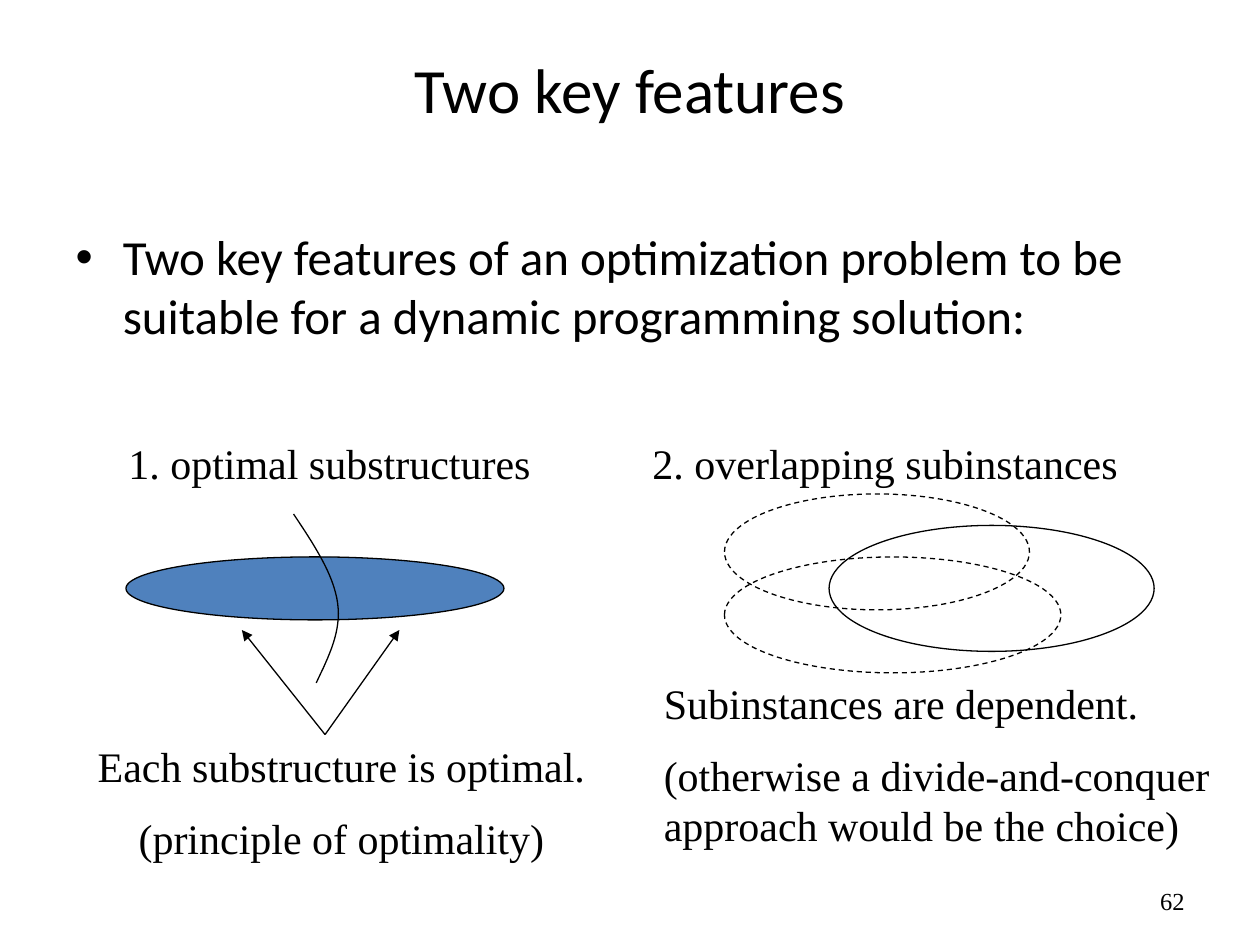
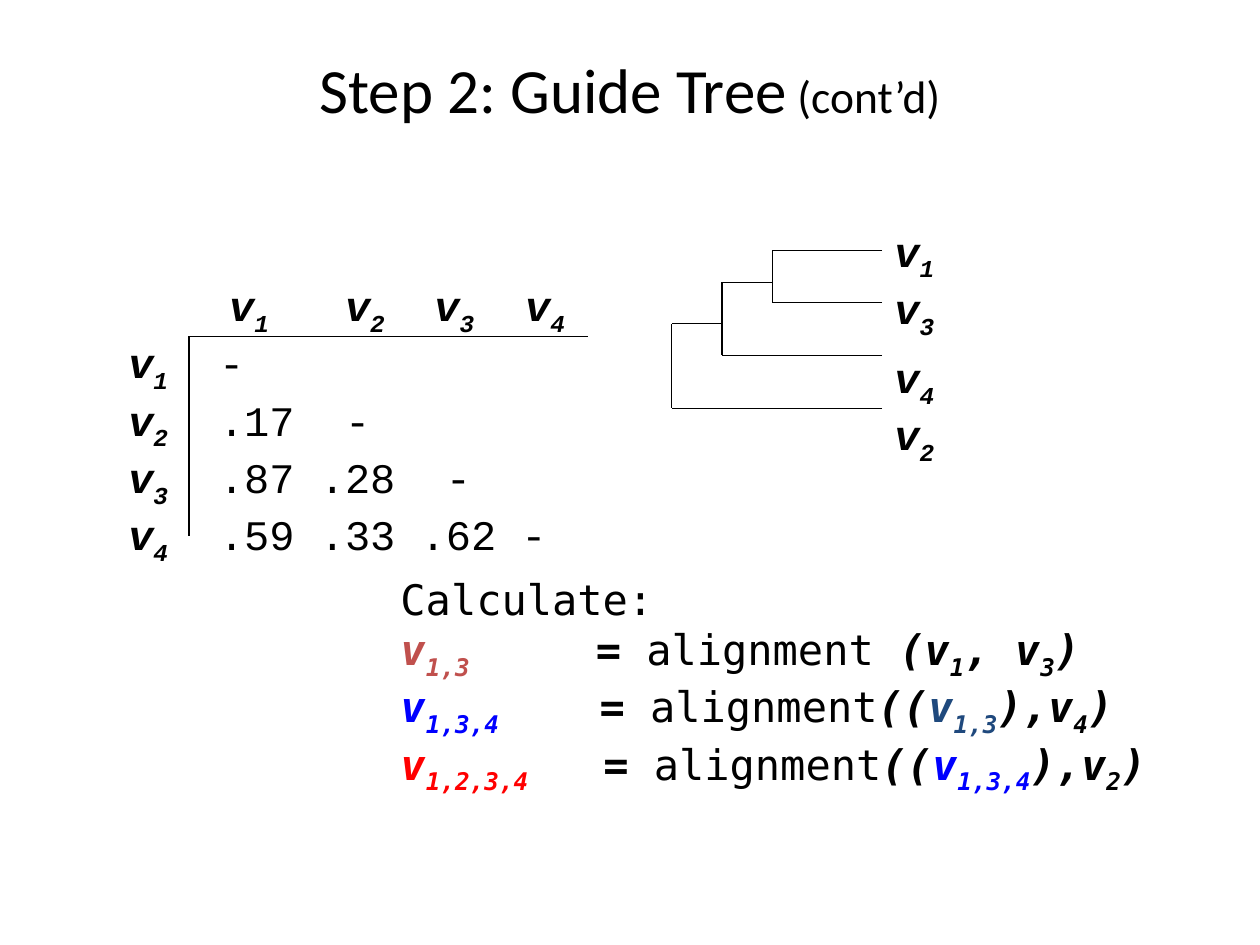
from lxml.etree import SubElement as Sub
from pptx import Presentation
from pptx.dml.color import RGBColor as RGB
from pptx.enum.dml import MSO_LINE as Dash
from pptx.enum.shapes import MSO_CONNECTOR as Link, MSO_SHAPE as Kind
from pptx.enum.text import MSO_ANCHOR as Anchor, PP_ALIGN as Align
from pptx.oxml.ns import qn
from pptx.util import Inches, Pt

HUES = {"ink": "000000", "oval": "4F81BD", "rose": "C0504D",
        "blue": "0000FF", "navy": "1F497D", "red": "FF0000"}
SANS, SERIF = "Calibri", "Times New Roman"
MONO, CODE = "Courier New", "DejaVu Sans Mono"


def hue(name):
    return RGB.from_string(HUES[name])


def place(shape, *box):
    shape.left, shape.top, shape.width, shape.height = map(Inches, box)


def style(font, face, size):
    font.name, font.size = face, Pt(size)
    font.color.rgb = hue("ink")


def title(slide, text):
    head = slide.shapes.title
    place(head, 0.5, 0.08, 9, 1.25)
    head.text_frame.vertical_anchor = Anchor.MIDDLE
    para = head.text_frame.paragraphs[0]
    para.text, para.alignment = text, Align.CENTER
    style(para.font, SANS, 36)
    return para


def frame(slide, *box):
    text = slide.shapes.add_textbox(*map(Inches, box)).text_frame
    text.word_wrap = True
    return text


def paras(text, count, face, size=24):
    """Return the given number of styled paragraphs of a text frame."""
    rows = [text.paragraphs[0]]
    rows += [text.add_paragraph() for _ in range(count - 1)]
    for row in rows:
        style(row.font, face, size)
    return rows


def note(slide, box, lines, align=Align.LEFT, size=24):
    text = frame(slide, *box)
    for i, (row, line) in enumerate(zip(paras(text, len(lines), SERIF, size), lines)):
        row.text, row.alignment = line, align
        row.space_before = Pt(12 if i else 0)
    return text


def run(para, text, bold=False, color="ink"):
    part = para.add_run()
    part.text = text
    part.font.bold = part.font.italic = bold
    part.font.color.rgb = hue(color)
    return part


def var(para, index, color="ink"):
    """Add the variable v with a subscript."""
    run(para, "v", True, color)
    low = run(para, index, True, color)
    low.font._element.set("baseline", "-25000")


def tabs(para, stops):
    props = para._p.get_or_add_pPr()
    tags = Sub(props, qn("a:tabLst"))
    for stop in stops:
        Sub(tags, qn("a:tab"), pos=str(Inches(stop)), algn="l")


def pen(line):
    line.color.rgb = hue("ink")
    line.width = Pt(0.75)


def oval(slide, box, fill=None, dash=None):
    shape = slide.shapes.add_shape(Kind.OVAL, *map(Inches, box))
    shape.shadow.inherit = False
    if fill:
        shape.fill.solid()
        shape.fill.fore_color.rgb = hue(fill)
    else:
        shape.fill.background()
    pen(shape.line)
    if dash:
        shape.line.dash_style = dash


def line(slide, x1, y1, x2, y2, arrow=False):
    link = slide.shapes.add_connector(Link.STRAIGHT, *map(Inches, (x1, y1, x2, y2)))
    pen(link.line)
    if arrow:
        Sub(link.line._get_or_add_ln(), qn("a:tailEnd"), type="triangle")
    Sub(link._element.spPr, qn("a:effectLst"))


def bezier(a, b, c, d, steps=16):
    for i in range(1, steps + 1):
        t = i / steps
        u = 1 - t
        yield tuple(Inches(u**3 * p + 3 * u * u * t * q + 3 * u * t * t * r + t**3 * s)
                    for p, q, r, s in zip(a, b, c, d))


def curve(slide, start, mid, end, bends):
    path = slide.shapes.build_freeform(*map(Inches, start))
    dots = [*bezier(start, *bends[:2], mid), *bezier(mid, *bends[2:], end)]
    path.add_line_segments(dots, close=False)
    shape = path.convert_to_shape()
    shape.shadow.inherit = False
    shape.fill.background()
    pen(shape.line)


def tree(slide):
    leaves = [1.99, 2.4, 2.82, 3.24]
    right, top = 7, leaves[0]
    for x, low, joint in zip((6.13, 5.73, 5.33), leaves[1:], (2.24, 2.57, None)):
        line(slide, right, top, x, top)
        line(slide, 7, low, x, low)
        line(slide, x, top, x, low)
        right, top = x, joint
    rows = paras(frame(slide, 7, 1.74, 0.73, 1.78), 4, MONO)
    for row, index in zip(rows, "1342"):
        var(row, index)
    rows[2].line_spacing = 1.2


def matrix(slide):
    head, *rows = paras(frame(slide, 0.92, 2.17, 3.73, 2.1), 5, MONO)
    tabs(head, [0.8, 1.72, 2.43, 3.15])
    for index in "1234":
        run(head, "\t")
        var(head, index)
    scores = [["-"], [".17", "-"], [".87", ".28", "-"], [".59", ".33", ".62", "-"]]
    for i, (row, cells) in enumerate(zip(rows, scores)):
        stops = [0.72 + 0.8 * j for j in range(i + 1)]
        if i in (1, 2):
            stops[-1] += 0.2
        tabs(row, stops)
        var(row, str(i + 1))
        for cell in cells:
            run(row, "\t" + cell)
    line(slide, 1.5, 2.67, 1.5, 4.25)
    line(slide, 1.5, 2.67, 4.67, 2.67)


def steps(slide):
    """Write the alignments; a pair stands for a variable and its colour."""
    sums = [
        (("1,3", "rose"), " (", ("1", "ink"), ", ", ("3", "ink"), ")"),
        (("1,3,4", "blue"), "((", ("1,3", "navy"), "),", ("4", "ink"), ")"),
        (("1,2,3,4", "red"), "((", ("1,3,4", "blue"), "),", ("2", "ink"), ")"),
    ]
    head, *rows = paras(frame(slide, 3.08, 4.5, 6.92, 1.7), 4, CODE)
    run(head, "Calculate:")
    for i, (row, (name, *parts)) in enumerate(zip(rows, sums)):
        tabs(row, [1.55 + 0.03 * i])
        var(row, *name)
        run(row, "\t= ", True)
        run(row, "alignment")
        for part in parts:
            if isinstance(part, tuple):
                var(row, *part)
            else:
                run(row, part, True)


def features(deck):
    slide = deck.slides.add_slide(deck.slide_layouts[1])
    page = note(slide, (7.17, 6.95, 2.33, 0.4), ["62"], Align.RIGHT, 14)
    page.vertical_anchor = Anchor.MIDDLE
    title(slide, "Two key features")
    body = slide.placeholders[1]
    place(body, 0.5, 1.75, 9, 4.95)
    lead = body.text_frame.paragraphs[0]
    lead.text = ("Two key features of an optimization problem to be "
                 "suitable for a dynamic programming solution:")
    style(lead.font, SANS, 28)

    oval(slide, (1, 4.42, 3, 0.5), fill="oval")
    curve(slide, (2.33, 4.08), (2.68, 4.79), (2.51, 5.42),
          [(2.49, 4.32), (2.65, 4.56), (2.71, 5.01), (2.61, 5.21)])
    for x in (1.92, 3.17):
        line(slide, 2.58, 5.83, x, 5, arrow=True)
    note(slide, (0.67, 5.83, 4.08, 1.1),
         ["Each substructure is optimal.", "(principle of optimality)"], Align.CENTER)

    oval(slide, (5.75, 3.92, 2.42, 0.92), dash=Dash.DASH)
    oval(slide, (6.58, 4.17, 2.58, 1))
    oval(slide, (5.75, 4.42, 2.67, 0.92), dash=Dash.DASH)
    note(slide, (0.92, 3.42, 4.08, 0.5), ["1. optimal substructures"])
    note(slide, (5.08, 3.42, 4.33, 0.5), ["2. overlapping subinstances"])
    note(slide, (5.17, 5.33, 4.83, 1.52),
         ["Subinstances are dependent.",
          "(otherwise a divide-and-conquer approach would be the choice)"])


def guide(deck):
    slide = deck.slides.add_slide(deck.slide_layouts[5])
    head = title(slide, "Step 2: Guide Tree")
    more = head.add_run()
    more.text, more.font.size = " (cont’d)", Pt(26)
    tree(slide)
    steps(slide)
    matrix(slide)


def main():
    deck = Presentation()
    deck.slide_width, deck.slide_height = Inches(10), Inches(7.5)
    features(deck)
    guide(deck)
    deck.save("out.pptx")


if __name__ == "__main__":
    main()
